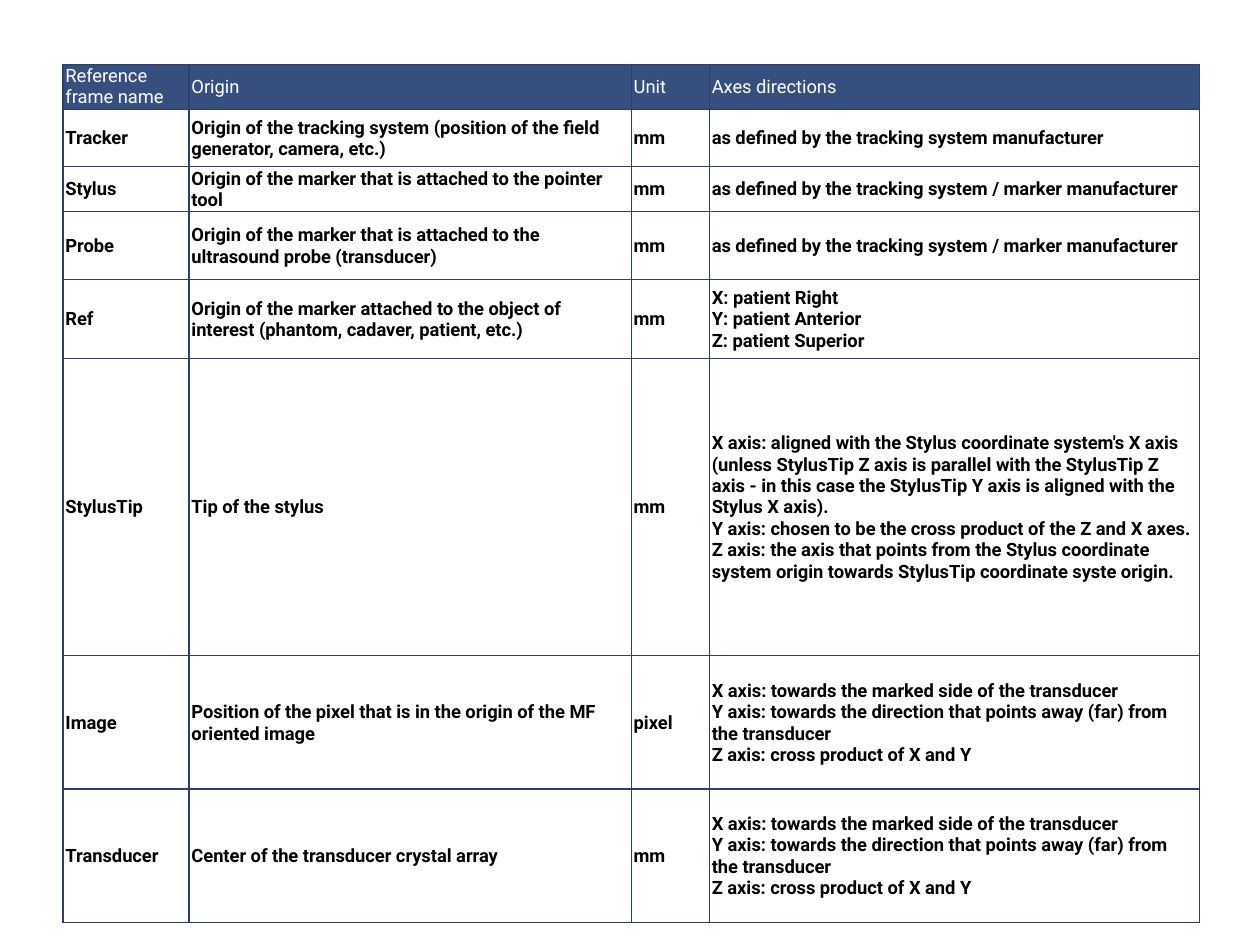
from dataclasses import dataclass

from lxml.etree import SubElement
from pptx import Presentation
from pptx.dml.color import RGBColor
from pptx.enum.text import MSO_VERTICAL_ANCHOR as Anchor
from pptx.oxml.ns import qn
from pptx.util import Inches, Pt

COLORS = {"header": "374F7F", "border": "2D4068", "white": "FFFFFF", "black": "000000"}
FONT_NAME = "Roboto"
FONT_SIZE = Pt(10.5)
BORDER_WIDTH = Pt(0.75)
SLIDE_WIDTH, SLIDE_HEIGHT = Inches(10), Inches(7.5)
LEFT_SHARE, TOP_SHARE = 0.05, 0.068
COLUMN_SHARES = (0.1, 0.351, 0.062, 0.389)


@dataclass(frozen=True)
class RowStyle:
    fill: str
    text: str
    bold: bool
    bottom_inset: float


@dataclass(frozen=True)
class FrameRow:
    height_share: float
    name: str
    origin: str
    unit: str
    axes: str
    style: RowStyle

    @property
    def texts(self) -> tuple[str, ...]:
        return self.name, self.origin, self.unit, self.axes


HEADER = RowStyle("header", "white", False, 0.01)
BODY = RowStyle("white", "black", True, 0)
MARKER_AXES = "as defined by the tracking system / marker manufacturer"
IMAGE_AXES = "\v".join((
    "X axis: towards the marked side of the transducer",
    "Y axis: towards the direction that points away (far) from the transducer",
    "Z axis: cross product of X and Y",
))
STYLUS_TIP_AXES = "\v".join((
    "X axis: aligned with the Stylus coordinate system's X axis (unless StylusTip Z axis "
    "is parallel with the StylusTip Z axis - in this case the StylusTip Y axis is aligned "
    "with the Stylus X axis).",
    "Y axis: chosen to be the cross product of the Z and X axes.",
    "Z axis: the axis that points from the Stylus coordinate system origin towards "
    "StylusTip coordinate syste origin.",
))
ROWS = (
    FrameRow(0.027, "Reference frame name", "Origin", "Unit", "Axes directions", HEADER),
    FrameRow(0.06, "Tracker",
             "Origin of the tracking system (position of the field generator, camera, etc.)",
             "mm", "as defined by the tracking system manufacturer", BODY),
    FrameRow(0.048, "Stylus", "Origin of the marker that is attached to the pointer tool",
             "mm", MARKER_AXES, BODY),
    FrameRow(0.072, "Probe",
             "Origin of the marker that is attached to the ultrasound probe (transducer)",
             "mm", MARKER_AXES, BODY),
    FrameRow(0.083, "Ref",
             "Origin of the marker attached to the object of interest "
             "(phantom, cadaver, patient, etc.)",
             "mm", "X: patient Right\nY: patient Anterior\nZ: patient Superior", BODY),
    FrameRow(0.315, "StylusTip", "Tip of the stylus", "mm", STYLUS_TIP_AXES, BODY),
    FrameRow(0.141, "Image",
             "Position of the pixel that is in the origin of the MF oriented image",
             "pixel", IMAGE_AXES, BODY),
    FrameRow(0.141, "Transducer", "Center of the transducer crystal array",
             "mm", IMAGE_AXES, BODY),
)


def color(name: str) -> RGBColor:
    """Return the named palette colour."""
    return RGBColor.from_string(COLORS[name])


def add_borders(cell) -> None:
    """Line all four sides of a cell, ahead of its fill."""
    properties = cell._tc.get_or_add_tcPr()
    for index, side in enumerate(("lnL", "lnR", "lnT", "lnB")):
        line = SubElement(properties, qn(f"a:{side}"), w=str(BORDER_WIDTH))
        fill = SubElement(line, qn("a:solidFill"))
        SubElement(fill, qn("a:srgbClr"), val=COLORS["border"])
        properties.insert(index, line)


def write_cell(cell, text: str, style: RowStyle) -> None:
    """Fill one cell with text in its row's style."""
    cell.margin_left = cell.margin_right = Inches(0.02)
    cell.margin_top = Inches(0.01)
    cell.margin_bottom = Inches(style.bottom_inset)
    cell.vertical_anchor = Anchor.MIDDLE
    cell.fill.solid()
    cell.fill.fore_color.rgb = color(style.fill)
    add_borders(cell)
    cell.text_frame.text = text
    for paragraph in cell.text_frame.paragraphs:
        font = paragraph.font
        font.name, font.size, font.bold = FONT_NAME, FONT_SIZE, style.bold
        font.color.rgb = color(style.text)


def add_frame_table(slide, rows: tuple[FrameRow, ...]) -> None:
    """Draw the table of reference frames."""
    table = slide.shapes.add_table(
        len(rows), len(COLUMN_SHARES),
        int(LEFT_SHARE * SLIDE_WIDTH), int(TOP_SHARE * SLIDE_HEIGHT),
        int(sum(COLUMN_SHARES) * SLIDE_WIDTH),
        int(sum(row.height_share for row in rows) * SLIDE_HEIGHT),
    ).table
    table.first_row = table.horz_banding = False
    for column, share in zip(table.columns, COLUMN_SHARES):
        column.width = int(share * SLIDE_WIDTH)
    for table_row, row in zip(table.rows, rows):
        table_row.height = int(row.height_share * SLIDE_HEIGHT)
        for cell, text in zip(table_row.cells, row.texts):
            write_cell(cell, text, row.style)


def main() -> None:
    """Build and save the slide."""
    presentation = Presentation()
    presentation.slide_width, presentation.slide_height = SLIDE_WIDTH, SLIDE_HEIGHT
    slide = presentation.slides.add_slide(presentation.slide_layouts[6])
    add_frame_table(slide, ROWS)
    presentation.save("out.pptx")


if __name__ == "__main__":
    main()
